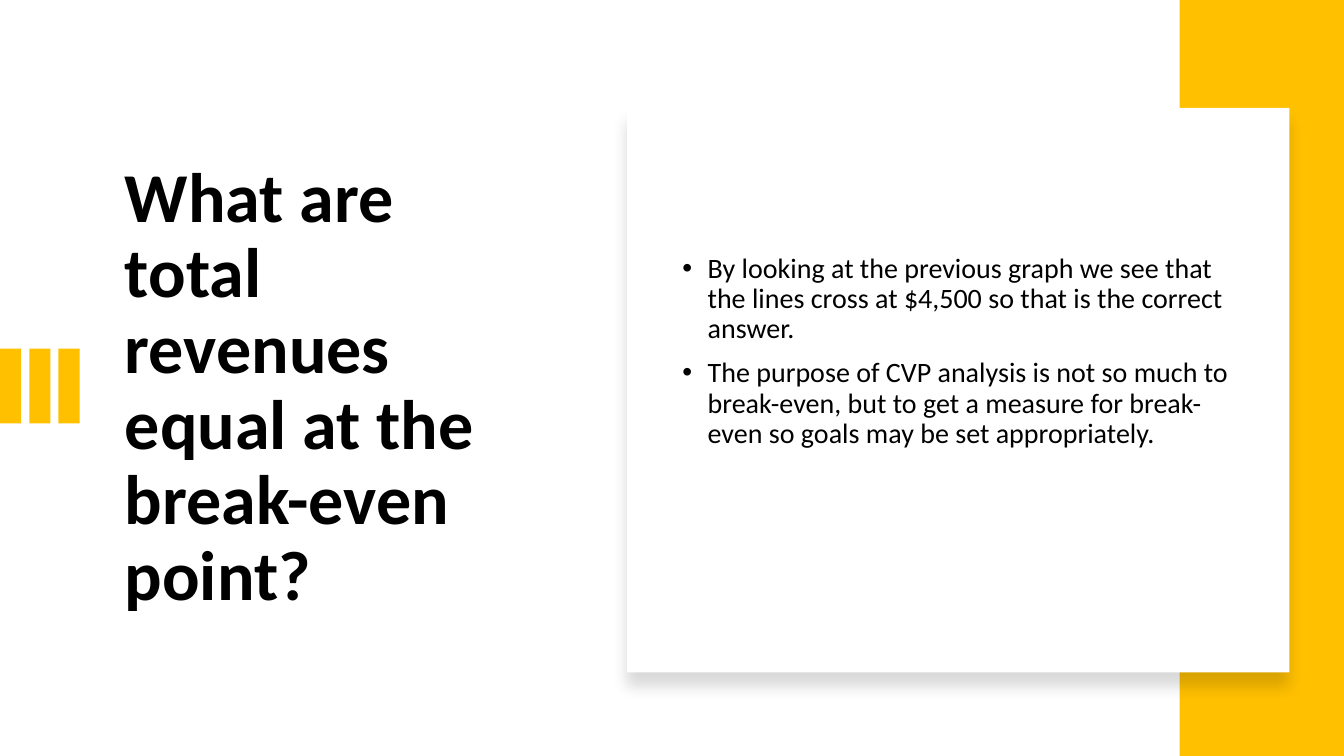
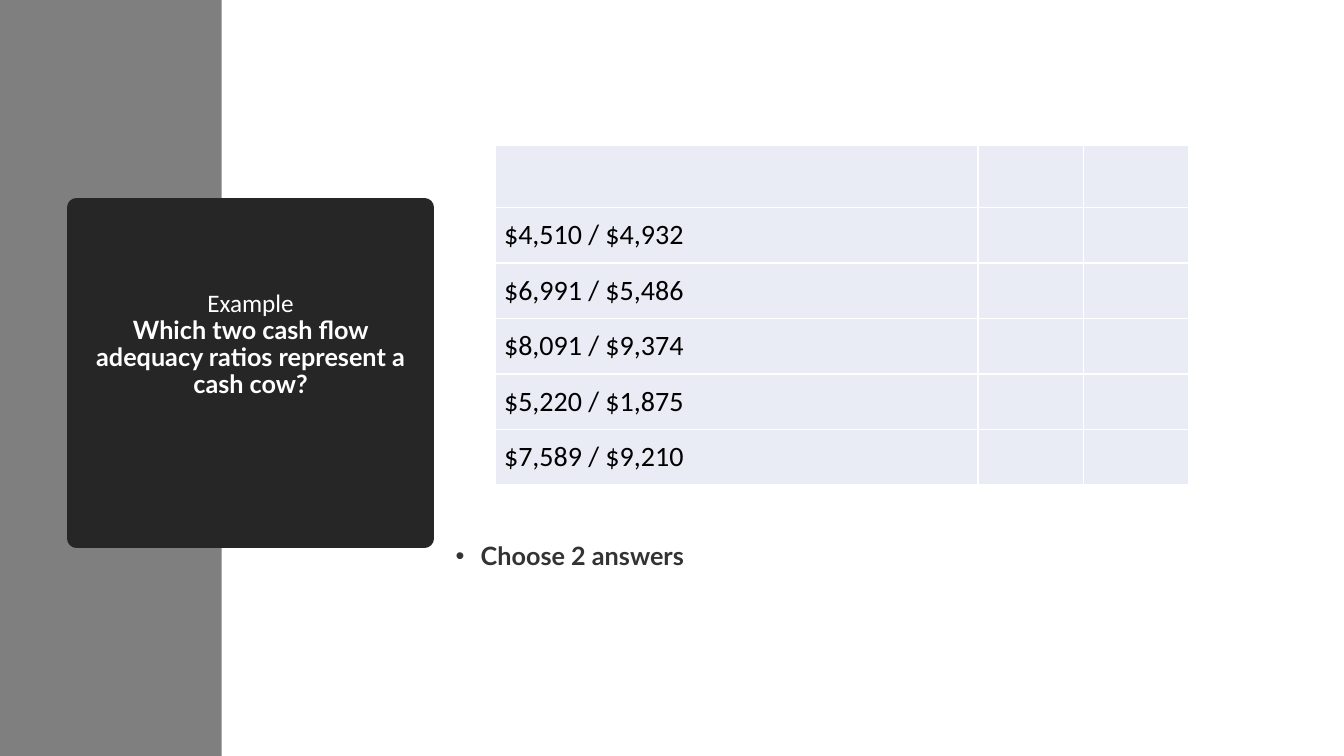
import pptx
import pptx.dml.color
import pptx.enum.shapes
import pptx.enum.text
import pptx.oxml
import pptx.oxml.ns
import pptx.util

Inches = pptx.util.Inches
Pt = pptx.util.Pt
ANCHOR = pptx.enum.text.MSO_ANCHOR
ALIGN = pptx.enum.text.PP_ALIGN
RECTANGLE = pptx.enum.shapes.MSO_SHAPE.RECTANGLE

GOLD, GREY, CHARCOAL, WHITE, BLACK = "FFC000", "7F7F7F", "262626", "FFFFFF", "000000"
INK, CELL = "333333", "E9EBF5"

QUESTION = "What are total revenues equal at the break-even point?"
ANSWERS = [
    "By looking at the previous graph we see that the lines cross at $4,500 so that is the correct answer.",
    "The purpose of CVP analysis is not so much to break-even, but to get a measure for "
    "break-even so goals may be set appropriately.",
]
EXAMPLE = [
    ("Example", {"font": "Calibri"}),
    ("Which two cash flow adequacy ratios represent a cash cow?", {"font": "Lato", "bold": True}),
]
RATIOS = ["$4,510 / $4,932", "$6,991 / $5,486", "$8,091 / $9,374", "$5,220 / $1,875", "$7,589 / $9,210"]
INSTRUCTION = "Choose 2 answers"

BAR_COUNT, BAR_STEP = 3, 0.29
COLUMN_WIDTHS = [4.79, 1.05, 1.04]
HEADER_HEIGHT, ROW_HEIGHT = 0.62, 0.55

NAMESPACE = pptx.oxml.ns.nsdecls("a")
SHADOW = (
    f'<a:effectLst {NAMESPACE}><a:outerShdw blurRad="{Pt(11)}" dist="{Pt(10)}" dir="5400000" '
    f'algn="t" rotWithShape="0"><a:srgbClr val="{BLACK}"><a:alpha val="15000"/></a:srgbClr>'
    "</a:outerShdw></a:effectLst>"
)


def color(value):
    return pptx.dml.color.RGBColor.from_string(value)


def add_block(shapes, box, fill, outline=None):
    block = shapes.add_shape(RECTANGLE, *map(Inches, box))
    block.shadow.inherit = False
    block.fill.solid()
    block.fill.fore_color.rgb = color(fill)
    if outline:
        block.line.color.rgb = color(fill)
        block.line.width = Pt(outline)
        block.line._get_or_add_ln().append(pptx.oxml.parse_xml(f"<a:round {NAMESPACE}/>"))
    else:
        block.line.fill.background()
    return block


def write(frame, text, *, size, font="Calibri", ink=BLACK, bold=False, align=ALIGN.LEFT,
          spacing=0.9, bullet=False):
    first = frame.paragraphs[0]
    paragraph = frame.add_paragraph() if first.runs else first
    paragraph.alignment = align
    paragraph.line_spacing = spacing
    if bullet:
        paragraph.space_before = Pt(10)
        properties = paragraph._p.get_or_add_pPr()
        properties.set("marL", str(Inches(0.25)))
        properties.set("indent", str(Inches(-0.25)))
        properties.append(pptx.oxml.parse_xml(f'<a:buFont {NAMESPACE} typeface="Arial"/>'))
        properties.append(pptx.oxml.parse_xml(f'<a:buChar {NAMESPACE} char="•"/>'))
    run = paragraph.add_run()
    run.text = text
    run.font.size = Pt(size)
    run.font.name = font
    run.font.bold = bold
    run.font.color.rgb = color(ink)


def add_frame(slide, box, anchor=ANCHOR.TOP, bottom=0.05):
    frame = slide.shapes.add_textbox(*map(Inches, box)).text_frame
    frame.word_wrap = True
    frame.vertical_anchor = anchor
    frame.margin_bottom = Inches(bottom)
    return frame


def style_cell(cell):
    cell.fill.solid()
    cell.fill.fore_color.rgb = color(CELL)
    properties = cell._tc.get_or_add_tcPr()
    for index, side in enumerate(("lnL", "lnR", "lnT", "lnB")):
        properties.insert(index, pptx.oxml.parse_xml(
            f'<a:{side} {NAMESPACE} w="{Pt(1)}"><a:solidFill><a:srgbClr val="{WHITE}"/>'
            f"</a:solidFill></a:{side}>"))


def add_ratios(slide):
    heights = [HEADER_HEIGHT] + [ROW_HEIGHT] * len(RATIOS)
    box = (4.91, 1.44, sum(COLUMN_WIDTHS), sum(heights))
    table = slide.shapes.add_table(len(heights), len(COLUMN_WIDTHS), *map(Inches, box)).table
    for column, width in zip(table.columns, COLUMN_WIDTHS):
        column.width = Inches(width)
    for row, height in zip(table.rows, heights):
        row.height = Inches(height)
    for cell in table.iter_cells():
        style_cell(cell)
    for index, ratio in enumerate(RATIOS, 1):
        cell = table.cell(index, 0)
        cell.vertical_anchor = ANCHOR.MIDDLE
        cell.margin_left = cell.margin_top = cell.margin_bottom = Inches(0.09)
        cell.margin_right = Inches(0.18)
        write(cell.text_frame, ratio, size=20, spacing=1.0)


def build_break_even(slide):
    bars = slide.shapes.add_group_shape().shapes
    for index in range(BAR_COUNT):
        add_block(bars, (index * BAR_STEP, 3.46, 0.21, 0.74), GOLD)
    add_block(slide.shapes, (11.7, 0, 1.63, 7.5), GOLD)
    panel = add_block(slide.shapes, (6.22, 1.07, 6.57, 5.6), WHITE)
    panel.shadow.inherit = True
    panel._element.spPr.append(pptx.oxml.parse_xml(SHADOW))
    write(add_frame(slide, (1.14, 1.46, 4.26, 4.79), ANCHOR.MIDDLE), QUESTION, size=50, bold=True)
    answers = add_frame(slide, (6.67, 1.46, 5.75, 4.79), ANCHOR.MIDDLE, bottom=0.78)
    for answer in ANSWERS:
        write(answers, answer, size=20, bullet=True)


def build_cash_cow(slide):
    add_block(slide.shapes, (0, 0, 2.2, 7.5), GREY)
    card = add_block(slide.shapes, (0.76, 2.06, 3.45, 3.28), CHARCOAL, outline=13.75).text_frame
    card.word_wrap = True
    card.vertical_anchor = ANCHOR.MIDDLE
    card.margin_bottom = Inches(0.61)
    for text, style in EXAMPLE:
        write(card, text, size=18, ink=WHITE, align=ALIGN.CENTER, **style)
    instruction = add_frame(slide, (4.42, 5.34, 7.86, 1.41))
    write(instruction, INSTRUCTION, size=18, font="Lato", ink=INK, bold=True, bullet=True)
    add_ratios(slide)


def main():
    """Build the break-even and cash cow slides."""
    deck = pptx.Presentation()
    deck.slide_width, deck.slide_height = Inches(13.33), Inches(7.5)
    for build in (build_break_even, build_cash_cow):
        build(deck.slides.add_slide(deck.slide_layouts[6]))
    deck.save("out.pptx")


if __name__ == "__main__":
    main()
